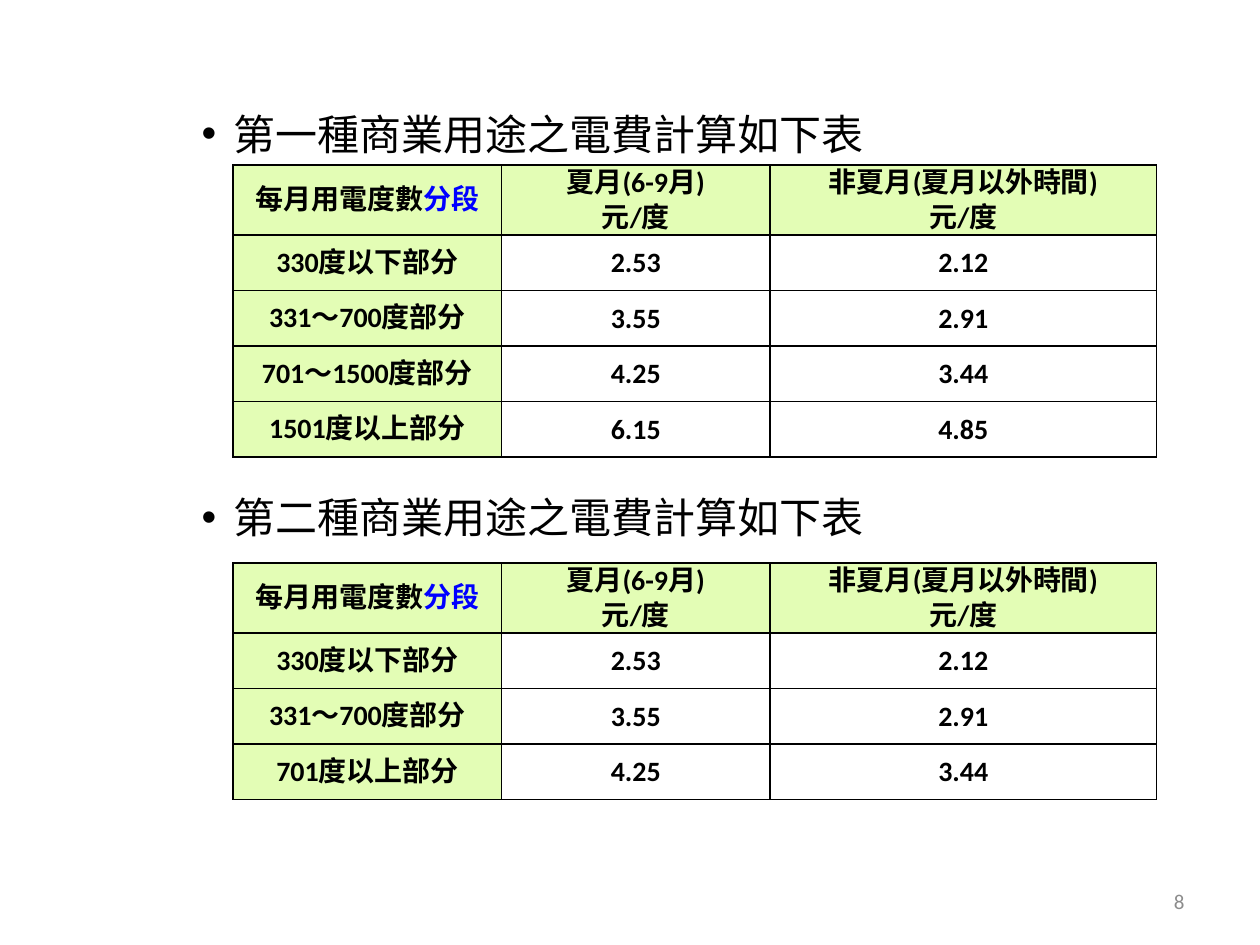
from lxml.etree import SubElement
from pptx import Presentation
from pptx.dml.color import RGBColor
from pptx.enum.text import MSO_ANCHOR, MSO_AUTO_SIZE, PP_ALIGN
from pptx.oxml.ns import qn
from pptx.util import Pt

COLORS = {"black": "000000", "blue": "0000FF", "green": "E3FDB5", "gray": "8C8C8C"}
COLUMN_WIDTHS = (153.4, 153.4, 221)
HEADER_HEIGHT, ROW_HEIGHT = 40, 31.7
HEADER = (
    [[("每月用電度數", "black"), ("分段", "blue")]],
    [[("夏月(6-9月)", "black")], [("元/度", "black")]],
    [[("非夏月(夏月以外時間)", "black")], [("元/度", "black")]],
)
FIRST_RATES = (
    ("330度以下部分", "2.53", "2.12"),
    ("331〜700度部分", "3.55", "2.91"),
    ("701〜1500度部分", "4.25", "3.44"),
    ("1501度以上部分", "6.15", "4.85"),
)
SECOND_RATES = FIRST_RATES[:2] + (("701度以上部分", "4.25", "3.44"),)


def add_run(p, text, size, color="black", font="Calibri", bold=False):
    """Add one formatted run to a paragraph."""
    r = p.add_run()
    r.text = text
    r.font.size = Pt(size)
    r.font.name = font
    r.font.bold = bold
    r.font.color.rgb = RGBColor.from_string(COLORS[color])


def add_borders(cell):
    """Draw a thin black line on all four sides of a cell."""
    tc_pr = cell._tc.get_or_add_tcPr()
    for side in ("a:lnL", "a:lnR", "a:lnT", "a:lnB"):
        line = SubElement(tc_pr, qn(side), w=str(Pt(1)))
        fill = SubElement(line, qn("a:solidFill"))
        SubElement(fill, qn("a:srgbClr"), val=COLORS["black"])


def fill_cell(cell, lines, shaded):
    """Format a cell and write its lines of coloured runs."""
    cell.margin_left = cell.margin_right = Pt(5)
    cell.margin_top = cell.margin_bottom = 0
    cell.vertical_anchor = MSO_ANCHOR.MIDDLE
    add_borders(cell)
    if shaded:
        cell.fill.solid()
        cell.fill.fore_color.rgb = RGBColor.from_string(COLORS["green"])
    else:
        cell.fill.background()
    p = cell.text_frame.paragraphs[0]
    p.alignment = PP_ALIGN.CENTER
    p.line_spacing = Pt(20)
    for i, line in enumerate(lines):
        if i:
            p.add_line_break()
        for text, color in line:
            add_run(p, text, 16, color, bold=True)


def add_rate_table(s, left, top, rates):
    """Place a table of electricity rates with its header row."""
    height = HEADER_HEIGHT + ROW_HEIGHT * len(rates)
    table = s.shapes.add_table(
        len(rates) + 1, len(COLUMN_WIDTHS),
        Pt(left), Pt(top), Pt(sum(COLUMN_WIDTHS)), Pt(height),
    ).table
    table.first_row = table.horz_banding = False
    for column, width in zip(table.columns, COLUMN_WIDTHS):
        column.width = Pt(width)
    body = [[[[(text, "black")]] for text in row] for row in rates]
    for i, row in enumerate([HEADER, *body]):
        table.rows[i].height = Pt(ROW_HEIGHT if i else HEADER_HEIGHT)
        for j, lines in enumerate(row):
            fill_cell(table.cell(i, j), lines, shaded=i == 0 or j == 0)


def add_headings(s, left, top, width, height, headings):
    """Write the bulleted headings, each with its gap above, in the body placeholder."""
    sp = s.placeholders[1]
    sp.left, sp.top, sp.width, sp.height = Pt(left), Pt(top), Pt(width), Pt(height)
    tf = sp.text_frame
    tf.auto_size = MSO_AUTO_SIZE.NONE
    for i, (text, gap) in enumerate(headings):
        p = tf.add_paragraph() if i else tf.paragraphs[0]
        p.level = 2
        p.space_before = Pt(gap)
        p.line_spacing = Pt(30)
        p_pr = p._p.get_or_add_pPr()
        p_pr.set("marL", str(Pt(90)))
        p_pr.set("indent", str(-Pt(18)))
        SubElement(p_pr, qn("a:buFont"), typeface="Arial")
        SubElement(p_pr, qn("a:buChar"), char="•")
        add_run(p, text, 24, font="Arial")


def add_page_number(s, left, top, width, height, number):
    """Place the page number at the right of its box."""
    tf = s.shapes.add_textbox(Pt(left), Pt(top), Pt(width), Pt(height)).text_frame
    tf.word_wrap = True
    tf.vertical_anchor = MSO_ANCHOR.MIDDLE
    p = tf.paragraphs[0]
    p.alignment = PP_ALIGN.RIGHT
    add_run(p, number, 12, "gray")


def main():
    """Build the slide and save it."""
    prs = Presentation()
    prs.slide_width, prs.slide_height = Pt(720), Pt(540)
    s = prs.slides.add_slide(prs.slide_layouts[1])
    title = s.shapes.title._element
    title.getparent().remove(title)
    headings = (
        ("第一種商業用途之電費計算如下表", 0),
        ("第二種商業用途之電費計算如下表", 189),
    )
    add_headings(s, 36, 57, 648, 446, headings)
    add_rate_table(s, 133.2, 94.3, FIRST_RATES)
    add_page_number(s, 516, 500.5, 168, 28.75, "8")
    add_rate_table(s, 133.2, 321.8, SECOND_RATES)
    prs.save("out.pptx")


if __name__ == "__main__":
    main()
